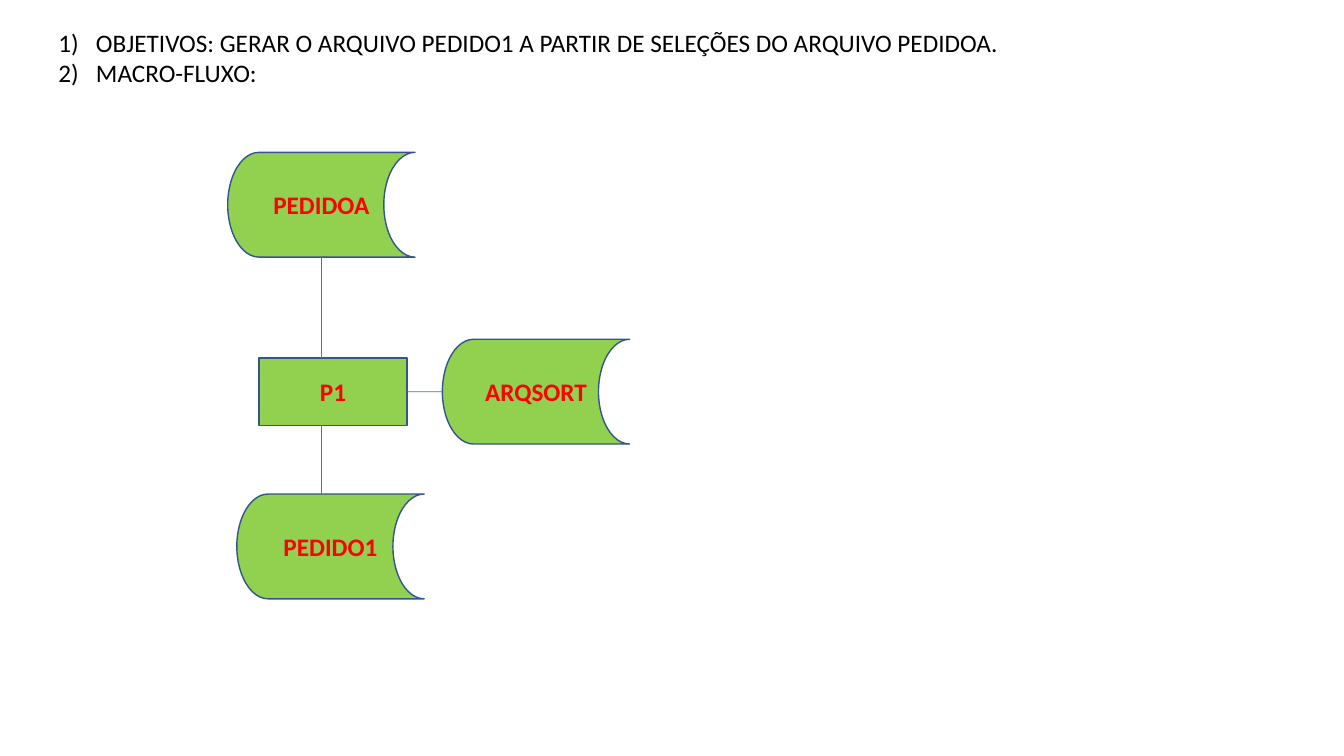
from lxml.etree import SubElement
from pptx import Presentation
from pptx.dml.color import RGBColor
from pptx.enum.shapes import MSO_CONNECTOR, MSO_SHAPE
from pptx.enum.text import MSO_ANCHOR, MSO_AUTO_SIZE, PP_ALIGN
from pptx.oxml.ns import qn
from pptx.util import Cm, Pt

GREEN = RGBColor(0x92, 0xD0, 0x50)
OUTLINE = RGBColor(0x32, 0x54, 0x91)
BLUE = RGBColor(0x44, 0x72, 0xC4)
RED = RGBColor(0xFF, 0x00, 0x00)
BLACK = RGBColor(0x00, 0x00, 0x00)

FILE_WIDTH, FILE_HEIGHT = 4.72, 2.64
TOP, LEFT, BOTTOM, RIGHT = range(4)
TOPICS = [
    "OBJETIVOS: GERAR O ARQUIVO PEDIDO1 A PARTIR DE SELEÇÕES DO ARQUIVO PEDIDOA.",
    "MACRO-FLUXO:",
]


def add_run(paragraph, text, color, bold=False):
    run = paragraph.add_run()
    run.text = text
    run.font.name = "Calibri"
    run.font.size = Pt(18)
    run.font.bold = bold
    run.font.color.rgb = color


def add_node(slide, label, kind, left, top, width, height):
    node = slide.shapes.add_shape(kind, Cm(left), Cm(top), Cm(width), Cm(height))
    node.shadow.inherit = False
    node.fill.solid()
    node.fill.fore_color.rgb = GREEN
    node.line.color.rgb = OUTLINE
    node.line.width = Pt(1)
    node.text_frame.vertical_anchor = MSO_ANCHOR.MIDDLE
    paragraph = node.text_frame.paragraphs[0]
    paragraph.alignment = PP_ALIGN.CENTER
    add_run(paragraph, label, RED, bold=True)
    return node


def add_file(slide, label, left, top):
    return add_node(slide, label, MSO_SHAPE.FLOWCHART_STORED_DATA,
                    left, top, FILE_WIDTH, FILE_HEIGHT)


def add_link(slide, start_x, start_y, end_x, end_y):
    link = slide.shapes.add_connector(
        MSO_CONNECTOR.STRAIGHT, Cm(start_x), Cm(start_y), Cm(end_x), Cm(end_y))
    link.line.color.rgb = BLUE
    link.line.width = Pt(0.5)
    SubElement(link._element.spPr, qn("a:effectLst"))
    return link


def add_topics(slide, left, top, width, height):
    topics = slide.shapes.add_textbox(Cm(left), Cm(top), Cm(width), Cm(height))
    frame = topics.text_frame
    frame.word_wrap = False
    frame.auto_size = MSO_AUTO_SIZE.SHAPE_TO_FIT_TEXT
    for index, topic in enumerate(TOPICS):
        paragraph = frame.add_paragraph() if index else frame.paragraphs[0]
        properties = paragraph._p.get_or_add_pPr()
        properties.set("marL", str(Cm(0.95)))
        properties.set("indent", str(-Cm(0.95)))
        SubElement(properties, qn("a:buFont"), typeface="+mj-lt")
        SubElement(properties, qn("a:buAutoNum"), type="arabicParenR")
        add_run(paragraph, topic, BLACK)


def add_flow(slide, left, top):
    axis = left + FILE_WIDTH / 2
    process_left, process_top = left + 0.79, top + 5.18
    process_width, process_height = 3.73, 1.7
    process_right = process_left + process_width
    process_bottom = process_top + process_height
    process_middle = process_top + process_height / 2
    sort_left = left + 5.41
    output_top = top + 8.61
    joint = top + FILE_HEIGHT + 0.99

    pedidoa = add_file(slide, "PEDIDOA", left, top)
    add_file(slide, "PEDIDO1", left + 0.23, output_top)
    process = add_node(slide, "P1", MSO_SHAPE.RECTANGLE,
                       process_left, process_top, process_width, process_height)
    arqsort = add_file(slide, "ARQSORT", sort_left, process_middle - FILE_HEIGHT / 2)

    sort_link = add_link(slide, process_right, process_middle, sort_left, process_middle)
    sort_link.begin_connect(process, RIGHT)
    sort_link.end_connect(arqsort, LEFT)
    input_link = add_link(slide, axis, top + FILE_HEIGHT, axis, joint)
    input_link.begin_connect(pedidoa, BOTTOM)
    add_link(slide, axis, process_top, axis, joint)
    add_link(slide, axis, process_bottom, axis, output_top)


def main():
    presentation = Presentation()
    presentation.slide_width = Cm(33.87)
    presentation.slide_height = Cm(19.05)
    slide = presentation.slides.add_slide(presentation.slide_layouts[6])
    add_flow(slide, 5.74, 3.84)
    add_topics(slide, 1.22, 0.56, 24.41, 1.8)
    presentation.save("out.pptx")


if __name__ == "__main__":
    main()
